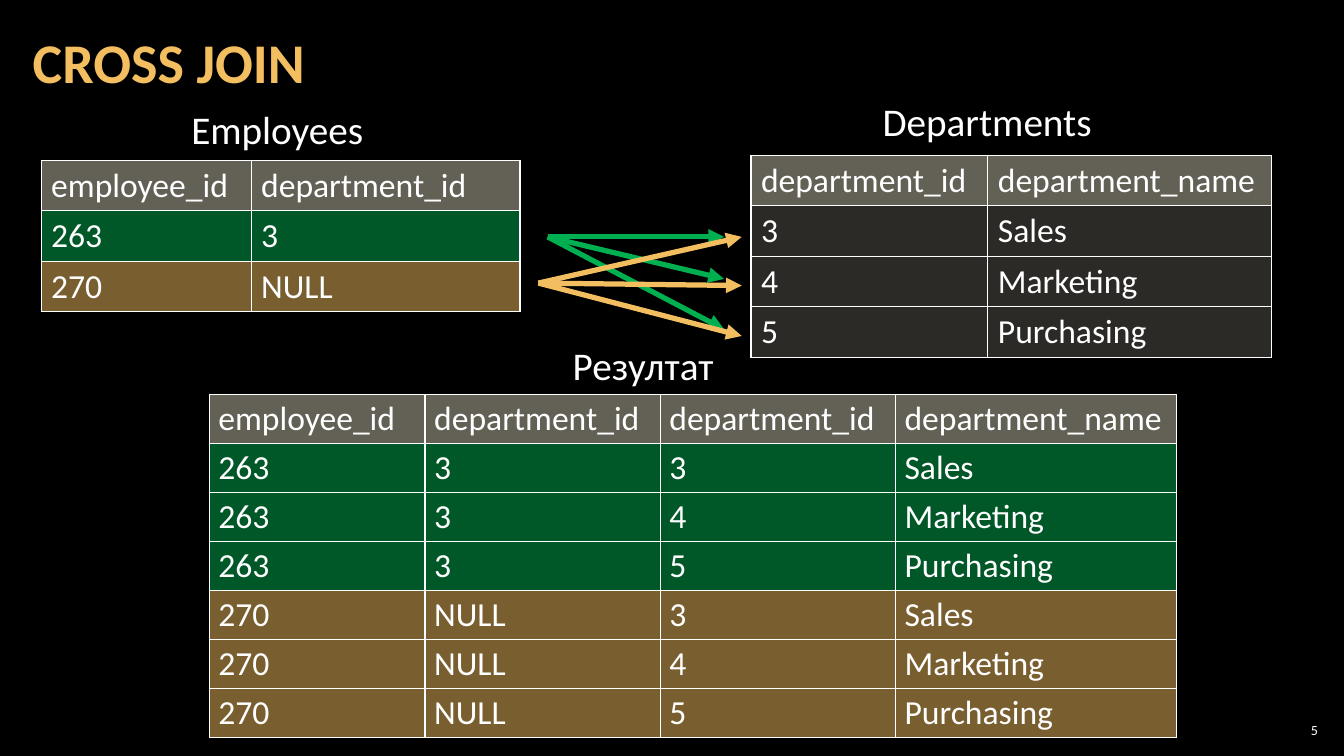
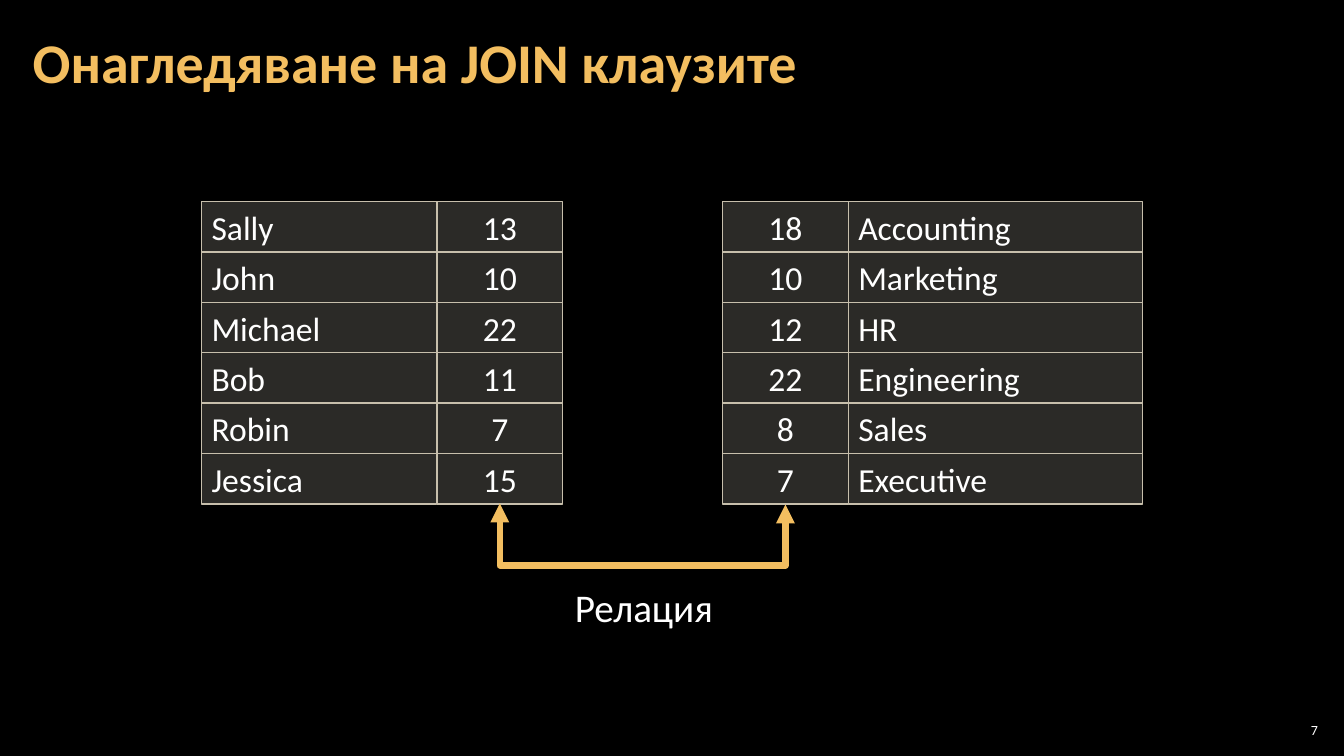
import itertools

import lxml.etree
import pptx
import pptx.dml.color
import pptx.enum.shapes
import pptx.enum.text
import pptx.oxml.ns
import pptx.util

WIDTH, HEIGHT = 12192000, 6858000
COLUMNS = 160  # square grid: 160 columns by 90 rows
FONT = "Calibri"
BLACK, WHITE, GOLD, GREEN = "000000", "FFFFFF", "F3BE60", "00B050"
HEADER, CELL, CELL_LINE = "C6C0AA", "D9D5C7", "C7BFAC"
HALF, FAINT = 50, 20

ALIGN = pptx.enum.text.PP_ALIGN
ANCHOR = pptx.enum.text.MSO_ANCHOR
AUTO_SIZE = pptx.enum.text.MSO_AUTO_SIZE
CONNECTOR = pptx.enum.shapes.MSO_CONNECTOR
RECTANGLE = pptx.enum.shapes.MSO_SHAPE.RECTANGLE


def rgb(color):
    return pptx.dml.color.RGBColor.from_string(color)


def grid(*cells):
    """Turn counts of grid cells into lengths."""
    return [pptx.util.Emu(round(n * WIDTH / COLUMNS)) for n in cells]


def add_xml(parent, tag, **attributes):
    return lxml.etree.SubElement(parent, pptx.oxml.ns.qn(tag), attributes)


def write(tf, text, size=24, color=WHITE, bold=False, align=ALIGN.LEFT,
          anchor=None, spacing=None):
    p = tf.paragraphs[0]
    p.alignment = align
    if spacing:
        p.line_spacing = spacing
    if anchor is not None:
        tf.vertical_anchor = anchor
    r = p.add_run()
    r.text = text
    r.font.name = FONT
    r.font.size = pptx.util.Pt(size)
    r.font.bold = bold
    r.font.color.rgb = rgb(color)


def set_margins(item, x, y):
    """Set the inner margins of a text frame or table cell."""
    item.margin_left = item.margin_right = grid(x)[0]
    item.margin_top = item.margin_bottom = grid(y)[0]


def paint(item, properties, color, opacity):
    """Fill a shape or cell, whose XML properties are given, with see-through colour."""
    item.fill.solid()
    item.fill.fore_color.rgb = rgb(color)
    srgb = properties.find("a:solidFill/a:srgbClr", pptx.oxml.ns._nsmap)
    add_xml(srgb, "a:alpha", val=str(opacity * 1000))


def add_borders(properties, color=WHITE, width=1):
    for side in ("a:lnL", "a:lnR", "a:lnT", "a:lnB"):
        ln = add_xml(properties, side, w=str(pptx.util.Pt(width)))
        add_xml(add_xml(ln, "a:solidFill"), "a:srgbClr", val=color)


def add_slide(prs, title, number):
    s = prs.slides.add_slide(prs.slide_layouts[5])
    sp = s.shapes.title
    sp.left, sp.top, sp.width, sp.height = grid(2.5, 0.5, 125.6, 14.5)
    tf = sp.text_frame
    tf.auto_size = AUTO_SIZE.NONE
    set_margins(tf, 1.4, 0.5)
    write(tf, title, size=40, color=GOLD, bold=True, anchor=ANCHOR.MIDDLE, spacing=0.9)
    tf = s.shapes.add_textbox(*grid(151.8, 85.7, 5.6, 2.5)).text_frame
    tf.word_wrap = True
    set_margins(tf, 0.5, 0.5)
    write(tf, number, size=10, align=ALIGN.RIGHT, anchor=ANCHOR.MIDDLE)
    return s


def add_label(s, text, left, top, width, align=ALIGN.LEFT):
    tf = s.shapes.add_textbox(*grid(left, top, width, 6.8)).text_frame
    tf.word_wrap = False
    tf.auto_size = AUTO_SIZE.SHAPE_TO_FIT_TEXT
    write(tf, text, size=28, align=align)


def add_table(s, left, top, columns, row_height, rows, fills, margins=(1.2, 0.6)):
    """Add a table; fills holds a (colour, opacity) pair for each row."""
    frame = s.shapes.add_table(len(rows), len(columns), *grid(
        left, top, sum(columns), row_height * len(rows)))
    table = frame.table
    table.first_row = table.horz_banding = False
    for column, width in zip(table.columns, grid(*columns)):
        column.width = width
    for row, texts, fill in zip(table.rows, rows, fills):
        row.height = grid(row_height)[0]
        for cell, text in zip(row.cells, texts):
            properties = cell._tc.get_or_add_tcPr()
            add_borders(properties)
            paint(cell, properties, *fill)
            set_margins(cell, *margins)
            write(cell.text_frame, text)


def add_arrow(s, start, end, color, width=3.75, kind=CONNECTOR.STRAIGHT, heads=("a:tailEnd",)):
    line = s.shapes.add_connector(kind, *grid(*start, *end))
    line.line.color.rgb = rgb(color)
    line.line.width = pptx.util.Pt(width)
    for head in heads:
        add_xml(line.line._get_or_add_ln(), head, type="triangle")
    add_xml(line._element.spPr, "a:effectLst")
    return line


def add_bracket(s, left, right, top, depth):
    """Join two points on one level by a double arrow that runs below them."""
    middle, half, gap = (left + right) / 2, (right - left) / 2, 0.12
    line = add_arrow(s, (middle + gap / 2, top - half), (middle - gap / 2, top + half),
                     GOLD, 4.5, CONNECTOR.ELBOW, ("a:headEnd", "a:tailEnd"))
    properties = line._element.spPr
    properties.xfrm.set("rot", str(270 * 60000))
    guides = properties.find("a:prstGeom/a:avLst", pptx.oxml.ns._nsmap)
    add_xml(guides, "a:gd", name="adj1", fmla=f"val {round(depth / gap * 100000)}")


def add_box_rows(s, left, top, columns, row_height, rows, aligns):
    """Stack rows of boxes, each row being one group."""
    for i, texts in enumerate(rows):
        group = s.shapes.add_group_shape()
        for j, (text, align) in enumerate(zip(texts, aligns)):
            sp = group.shapes.add_shape(RECTANGLE, *grid(
                left + sum(columns[:j]), top + i * row_height, columns[j], row_height))
            sp.shadow.inherit = False
            paint(sp, sp._element.spPr, CELL, FAINT)
            sp.line.color.rgb = rgb(CELL_LINE)
            sp.line.width = pptx.util.Pt(1)
            write(sp.text_frame, text, align=align, anchor=ANCHOR.MIDDLE)


def build_cross_join(prs):
    s = add_slide(prs, "CROSS JOIN", "5")
    employees = [("263", "3"), ("270", "NULL")]
    departments = [("3", "Sales"), ("4", "Marketing"), ("5", "Purchasing")]
    employee_header = ("employee_id", "department_id")
    department_header = ("department_id", "department_name")
    header_fill = (HEADER, HALF)
    employee_fills = [(GREEN, HALF), (GOLD, HALF)]
    result = [e + d for e, d in itertools.product(employees, departments)]
    result_fills = [f for f in employee_fills for _ in departments]

    add_label(s, "Employees", 21.6, 12, 23)
    add_table(s, 4.9, 19.1, (25, 32), 6, [employee_header, *employees],
              [header_fill, *employee_fills])
    add_label(s, "Departments", 103.9, 11, 27.6)
    add_table(s, 89.4, 18.5, (28.2, 33.8), 6, [department_header, *departments],
              [header_fill] + [(CELL, FAINT)] * len(departments))
    add_label(s, "Резултат", 67, 40, 19.3)
    add_table(s, 24.9, 47, (25.7, 28, 28, 33.5), 5.83,
              [employee_header + department_header, *result],
              [header_fill, *result_fills], margins=(1.1, 0.5))

    for color, start, end_x, end_ys in (
            (GREEN, (65.2, 28.2), 86.2, (28.2, 33.2, 39.2)),
            (GOLD, (64.1, 33.7), 88.3, (28.2, 34, 40))):
        for end_y in end_ys:
            add_arrow(s, start, (end_x, end_y), color)


def build_relation(prs):
    s = add_slide(prs, "Онагледяване на JOIN клаузите", "7")
    people = [("Sally", "13"), ("John", "10"), ("Michael", "22"),
              ("Bob", "11"), ("Robin", "7"), ("Jessica", "15")]
    departments = [("18", "Accounting"), ("10", "Marketing"), ("12", "HR"),
                   ("22", "Engineering"), ("8", "Sales"), ("7", "Executive")]
    top, row, key = 24, 6, 15
    left, name, right, department = 24, 28, 86, 35
    add_box_rows(s, left, top, (name, key), row, people, (ALIGN.LEFT, ALIGN.CENTER))
    add_box_rows(s, right, top, (key, department), row, departments,
                 (ALIGN.CENTER, ALIGN.LEFT))
    add_bracket(s, left + name + key / 2, right + key / 2, top + row * len(people), 7.5)
    add_label(s, "Релация", 67.1, 68.8, 19.1, align=ALIGN.CENTER)


def main():
    prs = pptx.Presentation()
    prs.slide_width, prs.slide_height = WIDTH, HEIGHT
    background = prs.slide_master.background.fill
    background.solid()
    background.fore_color.rgb = rgb(BLACK)
    build_cross_join(prs)
    build_relation(prs)
    prs.save("out.pptx")


if __name__ == "__main__":
    main()
